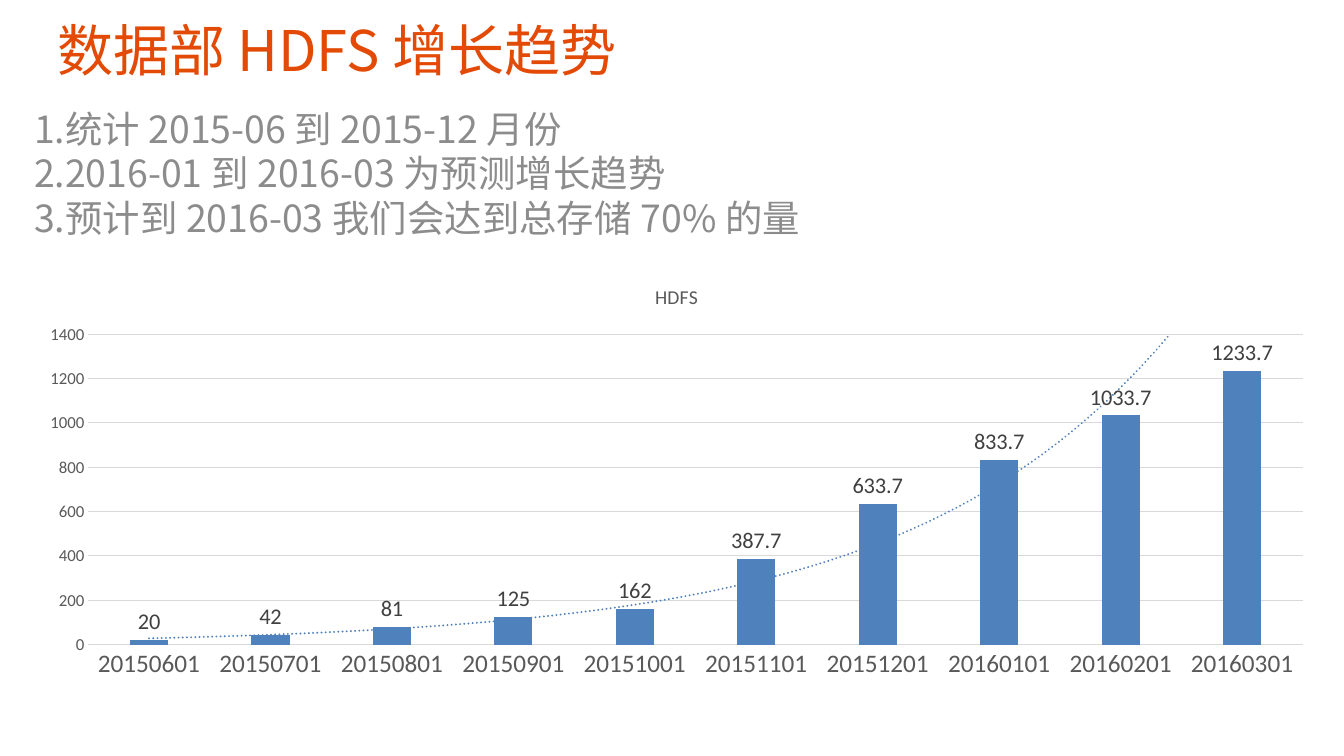
"""Build the HDFS growth trend slide."""
from lxml import etree
from pptx import Presentation, util as u
from pptx.chart.data import CategoryChartData
from pptx.dml.color import RGBColor
from pptx.enum import chart as ch, text as t
from pptx.oxml import parse_xml
from pptx.oxml.ns import nsdecls, qn

WIDTH, HEIGHT = 13.33, 7.5
COLORS = {"title": "E24A05", "points": "8C8C8C", "bar": "4F81BD",
          "axis": "595959", "label": "404040", "grid": "D9D9D9"}
CJK, LATIN = "Noto Sans CJK SC", "Calibri"

TITLE = ["数据部 HDFS 增长趋势"]
POINTS = ["1.统计 2015-06 到 2015-12 月份",
          "2.2016-01 到 2016-03 为预测增长趋势",
          "3.预计到 2016-03 我们会达到总存储 70% 的量"]
SERIES = "HDFS"
STORAGE = {"20150601": 20, "20150701": 42, "20150801": 81, "20150901": 125,
           "20151001": 162, "20151101": 387.7, "20151201": 633.7,
           "20160101": 833.7, "20160201": 1033.7, "20160301": 1233.7}

TITLE_BOX = (0.47, 0.18, 11.33, 0.94)
POINTS_BOX = (0.24, 1, 9.4, 1.94)
CHART_BOX = (0.24, 2.64, 12.94, 4.18)


def color(name):
    return RGBColor.from_string(COLORS[name])


def style(font, size, name, family=LATIN):
    font.size, font.name, font.bold = u.Pt(size), family, False
    font.color.rgb = color(name)


def add_lines(slide, box, lines, size, name, spacing):
    frame = slide.shapes.add_textbox(*map(u.Inches, box)).text_frame
    frame.word_wrap = True
    frame.vertical_anchor = t.MSO_ANCHOR.TOP
    frame.text = "\n".join(lines)
    for paragraph in frame.paragraphs:
        paragraph.line_spacing = spacing
        for run in paragraph.runs:
            style(run.font, size, name, CJK)
            east_asian = etree.SubElement(run.font._element, qn("a:ea"))
            east_asian.set("typeface", CJK)


def add_trend(series):
    trend = parse_xml(
        f'<c:trendline {nsdecls("c", "a")}><c:spPr><a:ln w="19050" cap="rnd">'
        f'<a:solidFill><a:srgbClr val="{COLORS["bar"]}"/></a:solidFill>'
        '<a:prstDash val="sysDot"/></a:ln></c:spPr>'
        '<c:trendlineType val="exp"/><c:dispRSqr val="0"/>'
        '<c:dispEq val="0"/></c:trendline>')
    series._element.find(qn("c:cat")).addprevious(trend)


def add_growth_chart(slide):
    data = CategoryChartData()
    data.categories = list(STORAGE)
    data.add_series(SERIES, list(STORAGE.values()))
    chart = slide.shapes.add_chart(ch.XL_CHART_TYPE.COLUMN_CLUSTERED,
                                   *map(u.Inches, CHART_BOX), data).chart
    chart.font.name, chart.font.size = LATIN, u.Pt(10)
    chart.has_legend = False
    chart.has_title = True
    heading = chart.chart_title.text_frame
    heading.text = SERIES
    style(heading.paragraphs[0].runs[0].font, 14, "axis")
    chart.chart_title.include_in_layout = False

    for axis, size in ((chart.category_axis, 18), (chart.value_axis, 12)):
        axis.major_tick_mark = axis.minor_tick_mark = ch.XL_TICK_MARK.NONE
        style(axis.tick_labels.font, size, "axis")
    values = chart.value_axis
    values.minimum_scale, values.maximum_scale, values.major_unit = 0, 1400, 200
    values.format.line.fill.background()
    for line in (chart.category_axis.format.line,
                 values.major_gridlines.format.line):
        line.color.rgb, line.width = color("grid"), u.Pt(0.75)

    plot = chart.plots[0]
    plot.gap_width, plot.overlap, plot.vary_by_categories = 219, -27, False
    storage = plot.series[0]
    storage.format.fill.solid()
    storage.format.fill.fore_color.rgb = color("bar")
    labels = storage.data_labels
    labels.show_value = True
    labels.position = ch.XL_LABEL_POSITION.OUTSIDE_END
    style(labels.font, 16, "label")
    add_trend(storage)


def main():
    deck = Presentation()
    deck.slide_width, deck.slide_height = u.Inches(WIDTH), u.Inches(HEIGHT)
    slide = deck.slides.add_slide(deck.slide_layouts[6])
    add_lines(slide, TITLE_BOX, TITLE, 40, "title", 0.9)
    add_lines(slide, POINTS_BOX, POINTS, 26.7, "points", u.Pt(32))
    add_growth_chart(slide)
    deck.save("out.pptx")


if __name__ == "__main__":
    main()
